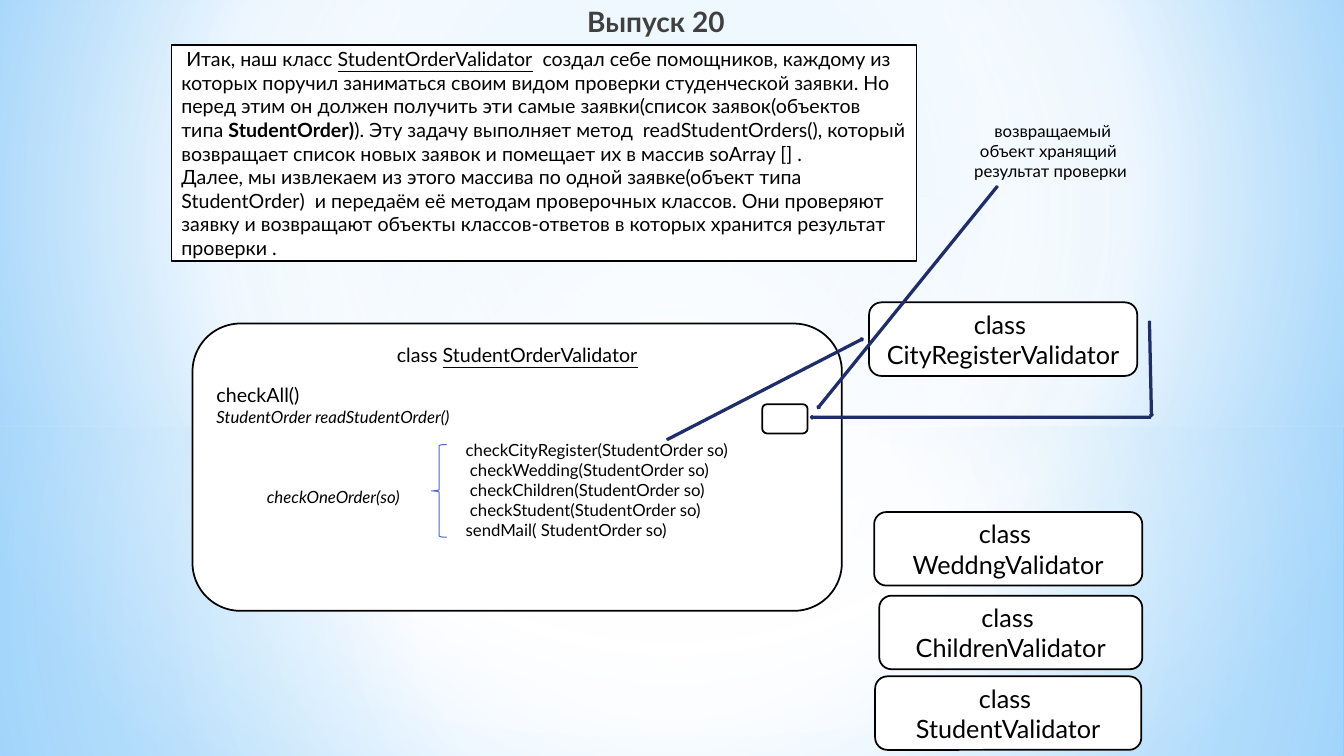
from dataclasses import dataclass
from math import atan2, degrees, hypot

from pptx import Presentation
from pptx.dml.color import RGBColor
from pptx.enum.shapes import MSO_SHAPE as Shape
from pptx.enum.text import MSO_ANCHOR as Anchor, PP_ALIGN as Align
from pptx.oxml import parse_xml
from pptx.oxml.ns import nsdecls
from pptx.util import Inches, Pt


@dataclass(frozen=True)
class Theme:
    font: str = "Lato"
    ink: str = "000000"
    title_ink: str = "404040"
    paper: str = "FFFFFF"
    sky: str = "B4DCFA"
    sky_light: str = "9ED5FF"
    sky_deep: str = "5BB9FF"
    accent: str = "4E67C8"
    accent_dark: str = "1F2E69"
    title: int = 20
    label: int = 18
    body: int = 14
    small: int = 12
    outline: float = 1.25
    thin: float = 0.75


THEME = Theme()
CENTRE = (50, 50, 50, 50)


def set_gradient(fill, owner, stops, focus=None):
    """Fill with (position, colour, opacity) stops: radial to focus, else downwards."""
    fill.gradient()
    marks = "".join(
        f'<a:gs pos="{pos * 1000}"><a:srgbClr val="{colour}">'
        f'<a:alpha val="{opacity * 1000}"/></a:srgbClr></a:gs>'
        for pos, colour, opacity in stops)
    if focus:
        left, top, right, bottom = (side * 1000 for side in focus)
        course = (f'<a:path path="circle"><a:fillToRect l="{left}" t="{top}" '
                  f'r="{right}" b="{bottom}"/></a:path>')
    else:
        course = '<a:lin ang="5400000" scaled="0"/>'
    old = owner.xpath(".//a:gradFill")[0]
    old.getparent().replace(old, parse_xml(
        f'<a:gradFill {nsdecls("a")} rotWithShape="1"><a:gsLst>{marks}</a:gsLst>'
        f'{course}</a:gradFill>'))


def add_box(page, box, kind=Shape.ROUNDED_RECTANGLE, fill=None, line=None,
            width=THEME.outline):
    shape = page.shapes.add_shape(kind, *map(Inches, box))
    shape.shadow.inherit = False
    if fill:
        shape.fill.solid()
        shape.fill.fore_color.rgb = RGBColor.from_string(fill)
    else:
        shape.fill.background()
    if line:
        shape.line.color.rgb = RGBColor.from_string(line)
        shape.line.width = Pt(width)
    else:
        shape.line.fill.background()
    return shape


def add_card(page, box, kind=Shape.ROUNDED_RECTANGLE):
    return add_box(page, box, kind, THEME.paper, THEME.ink)


def write(shape, lines, size, align=Align.LEFT, anchor=Anchor.MIDDLE, colour=THEME.ink):
    """Write one paragraph per line; a line is a text or a list of (text, style) spans."""
    frame = shape.text_frame
    frame.word_wrap = True
    frame.vertical_anchor = anchor
    for number, line in enumerate(lines):
        para = frame.paragraphs[0] if number == 0 else frame.add_paragraph()
        para.alignment = align
        for text, style in [(line, "")] if isinstance(line, str) else line:
            span = para.add_run()
            span.text = text
            font = span.font
            font.name, font.size = THEME.font, Pt(size)
            font.color.rgb = RGBColor.from_string(colour)
            font.bold = style == "bold"
            font.underline = style == "underline"
    return frame.paragraphs


def add_text(page, box, lines, size, colour=THEME.ink):
    label = page.shapes.add_textbox(*map(Inches, box))
    return write(label, lines, size, Align.CENTER, Anchor.TOP, colour)


def add_thin_arrow(page, start, end, thickness=0.03):
    (x1, y1), (x2, y2) = start, end
    length = hypot(x2 - x1, y2 - y1)
    box = ((x1 + x2 - length) / 2, (y1 + y2 - thickness) / 2, length, thickness)
    arrow = add_box(page, box, Shape.RIGHT_ARROW, THEME.accent, THEME.accent_dark)
    arrow.rotation = degrees(atan2(y2 - y1, x2 - x1)) % 360


def add_backdrop(page):
    white, sky = THEME.paper, THEME.sky
    set_gradient(page.background.fill, page.element,
                 [(0, THEME.sky_light, 100), (60, white, 100), (100, THEME.sky_deep, 100)],
                 (20, 10, 20, 60))
    layers = [
        (Shape.RECTANGLE, (0, 4.23, 13.33, 3.27),
         [(0, white, 91), (37, white, 76), (100, sky, 79)], CENTRE),
        (Shape.RECTANGLE, (0, 0, 13.33, 4.23),
         [(0, white, 89), (48, white, 62), (100, sky, 79)], CENTRE),
        (Shape.RECTANGLE, (0, 2.9, 13.33, 2.5),
         [(0, white, 0), (29, white, 30), (45, sky, 40), (55, white, 26),
          (65, sky, 60), (100, white, 0)], None),
        (Shape.OVAL, (0, 1.75, 13.33, 5.58), [(0, white, 100), (54, white, 0)], CENTRE),
    ]
    for kind, box, stops, focus in layers:
        layer = add_box(page, box, kind)
        set_gradient(layer.fill, layer.element, stops, focus)


def add_explanation(page, box):
    write(add_card(page, box, Shape.FLOWCHART_PROCESS), [
        [(" Итак, наш класс ", ""), ("StudentOrderValidator", "underline"),
         ("  создал себе помощников, каждому из которых поручил заниматься своим видом "
          "проверки студенческой заявки. Но перед этим он должен получить эти самые "
          "заявки(список заявок(объектов типа ", ""),
         ("StudentOrder)", "bold"),
         ("). Эту задачу выполняет метод  readStudentOrders(), который возвращает "
          "список новых заявок и помещает их в массив soArray [] .", "")],
        "Далее, мы извлекаем из этого массива по одной заявке(объект типа StudentOrder)  "
        "и передаём её методам проверочных классов. Они проверяют заявку и возвращают "
        "объекты классов-ответов в которых хранится результат проверки .",
    ], THEME.body)


def add_order_validator(page, box):
    """Draw the main class with its methods and the slot for the returned object."""
    left, top, _, _ = box
    heading, check_all, read_order, check_one = write(add_card(page, box), [
        [("class ", ""), ("StudentOrderValidator", "underline")],
        "checkAll()", "StudentOrder readStudentOrder()", "checkOneOrder(so)",
    ], THEME.body, anchor=Anchor.TOP)
    heading.alignment = Align.CENTER
    check_all.space_before = Pt(12)
    check_one.space_before = Pt(43)
    check_one._p.get_or_add_pPr().set("marL", str(Inches(0.5)))
    for para in (read_order, check_one):
        para.runs[0].font.size = Pt(THEME.small)
        para.runs[0].font.italic = True

    methods = add_box(page, (left + 2.55, top + 1.03, 3.01, 1.24), fill=THEME.paper)
    write(methods, ["checkCityRegister(StudentOrder so)", " checkWedding(StudentOrder so)",
                    " checkChildren(StudentOrder so)", " checkStudent(StudentOrder so)",
                    "sendMail( StudentOrder so)"], THEME.small)
    add_box(page, (left + 2.37, top + 1.2, 0.15, 0.92), Shape.LEFT_BRACE,
            line=THEME.accent, width=THEME.thin)
    add_card(page, (left + 5.65, top + 0.8, 0.45, 0.29))


def add_helper_class(page, box, name):
    write(add_card(page, box), ["class ", name], THEME.label, Align.CENTER)


def main():
    deck = Presentation()
    deck.slide_width, deck.slide_height = Inches(13.33), Inches(7.5)
    page = deck.slides.add_slide(deck.slide_layouts[6])
    add_backdrop(page)
    add_order_validator(page, (1.91, 3.21, 6.44, 2.85))
    add_explanation(page, (1.7, 0.45, 7.39, 2.14))
    title = add_text(page, (2.58, 0, 7.85, 0.58), [[("Выпуск 20", "bold")]],
                     THEME.title, THEME.title_ink)
    title[0].line_spacing = 1.0

    helpers = {
        "CityRegisterValidator": (8.62, 3, 2.66, 0.73),
        "WeddngValidator": (8.67, 5.08, 2.66, 0.73),
        "ChildrenValidator": (8.72, 5.91, 2.61, 0.73),
        "StudentValidator": (8.68, 6.71, 2.64, 0.73),
    }
    for name, box in helpers.items():
        add_helper_class(page, box, name)

    arrows = [((6.62, 4.36), (8.56, 3.36)), ((11.41, 4.14), (8.04, 4.14)),
              ((11.4, 3.19), (11.42, 4.13)), ((9.89, 1.85), (8.11, 4.05))]
    for start, end in arrows:
        add_thin_arrow(page, start, end)
    add_text(page, (8.92, 1.15, 3, 0.71),
             [" возвращаемый", "объект хранящий ", "результат проверки"], THEME.small)
    deck.save("out.pptx")


if __name__ == "__main__":
    main()
